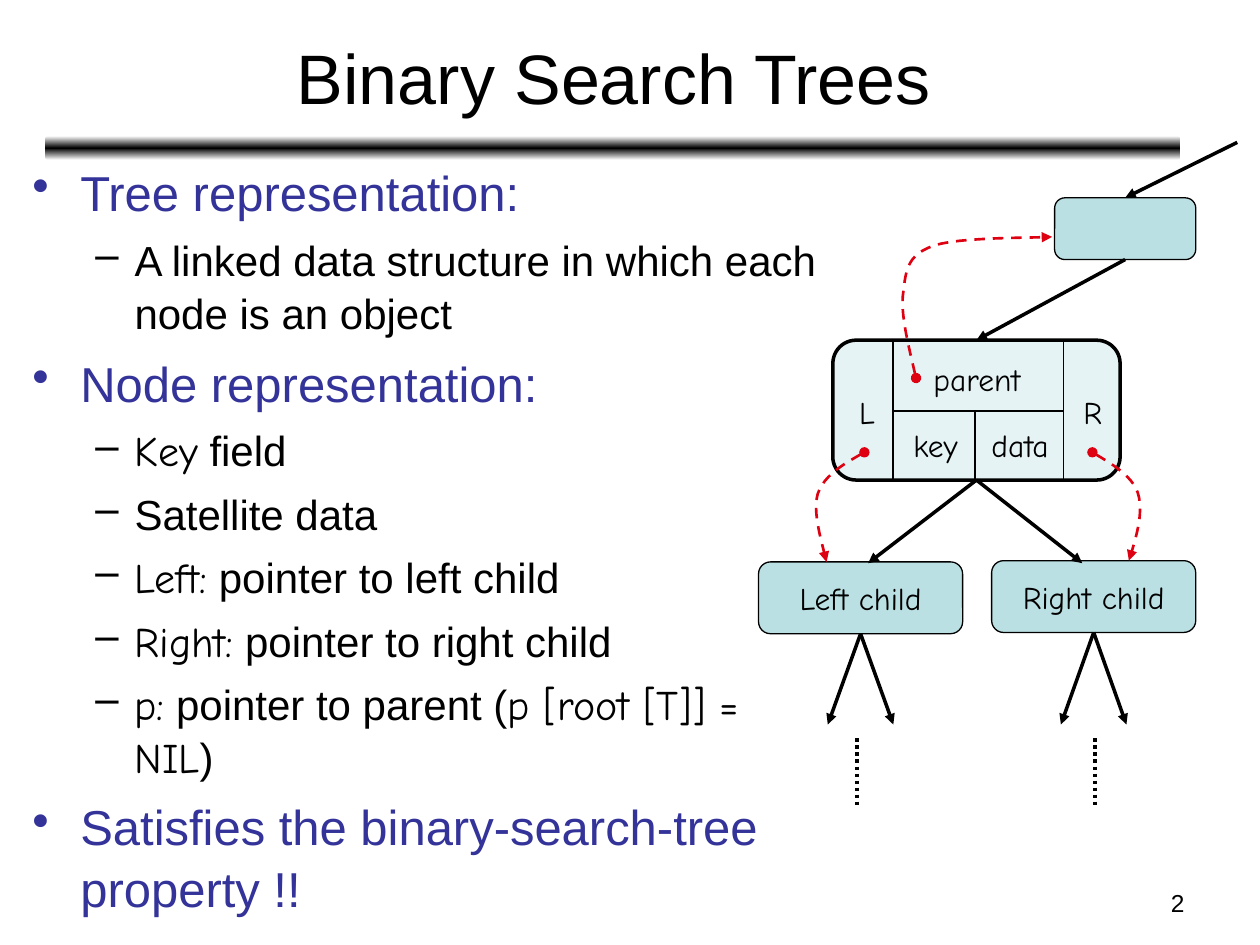
from dataclasses import dataclass

from lxml.etree import SubElement
from pptx import Presentation
from pptx.dml.color import RGBColor
from pptx.enum.dml import MSO_LINE
from pptx.enum.shapes import MSO_CONNECTOR, MSO_SHAPE
from pptx.enum.text import MSO_ANCHOR, PP_ALIGN
from pptx.oxml.ns import qn
from pptx.util import Inches, Pt


@dataclass(frozen=True)
class Theme:
    ink: str = "000000"
    paper: str = "FFFFFF"
    heading: str = "333399"
    node: str = "BBE0E3"
    record: str = "E5F3F5"
    pointer: str = "DD0111"
    sans: str = "Arial"
    hand: str = "Comic Neue"
    title_size: int = 40
    topic_size: int = 28
    detail_size: int = 24
    label_size: int = 18
    number_size: int = 14
    thin: float = 0.75
    divider: float = 1
    dashed: float = 1.5
    thick: float = 2


TOP, BOTTOM = 0, 2


class TreeSlide:
    def __init__(self, slide, theme):
        self.shapes = slide.shapes
        self.theme = theme

    def style_run(self, run, size, font, color):
        run.font.size = Pt(size)
        run.font.name = font
        run.font.color.rgb = RGBColor.from_string(color)

    def style_line(self, line, width, color, dash=None, head=None, tail=None):
        line.color.rgb = RGBColor.from_string(color)
        line.width = Pt(width)
        if dash is not None:
            line.dash_style = dash
        properties = line._get_or_add_ln()
        for tag, kind in (("a:headEnd", head), ("a:tailEnd", tail)):
            if kind:
                SubElement(properties, qn(tag), type=kind)

    def text(self, box, words, size, font, align=PP_ALIGN.LEFT,
             anchor=MSO_ANCHOR.TOP, wrap=False):
        area = self.shapes.add_textbox(*map(Inches, box))
        self.set_words(area.text_frame, words, size, font, align, anchor, wrap)

    def set_words(self, frame, words, size, font, align, anchor, wrap=False):
        frame.text = words
        frame.word_wrap = wrap
        frame.vertical_anchor = anchor
        paragraph = frame.paragraphs[0]
        paragraph.alignment = align
        self.style_run(paragraph.runs[0], size, font, self.theme.ink)

    def outline(self, box, topics):
        frame = self.shapes.add_textbox(*map(Inches, box)).text_frame
        frame.word_wrap = True
        paragraph = frame.paragraphs[0]
        for index, (topic, details) in enumerate(topics):
            if index:
                paragraph = frame.add_paragraph()
            self.bullet(paragraph, [topic], 0)
            for detail in details:
                self.bullet(frame.add_paragraph(), detail, 1)

    def bullet(self, paragraph, parts, level):
        theme = self.theme
        mark, margin, hanging, before, size, color = (
            ("•", 0.38, 0.38, 7, theme.topic_size, theme.heading),
            ("–", 0.81, 0.31, 6, theme.detail_size, theme.ink),
        )[level]
        paragraph.level = level
        paragraph.line_spacing = 1.05
        paragraph.space_before = Pt(before)
        properties = paragraph._p.get_or_add_pPr()
        properties.set("marL", str(Inches(margin)))
        properties.set("indent", str(-Inches(hanging)))
        SubElement(SubElement(properties, qn("a:buClr")), qn("a:srgbClr"), val=color)
        SubElement(properties, qn("a:buChar"), char=mark)
        for index, words in enumerate(parts):
            run = paragraph.add_run()
            run.text = words
            handwritten = len(parts) > 1 and index % 2 == 0
            self.style_run(run, size, theme.hand if handwritten else theme.sans, color)

    def rounded(self, box):
        shape = self.shapes.add_shape(MSO_SHAPE.ROUNDED_RECTANGLE, *map(Inches, box))
        shape.shadow.inherit = False
        return shape

    def rule(self, box):
        bar = self.rounded(box)
        bar.line.fill.background()
        bar.fill.gradient()
        bar.fill.gradient_angle = 90
        stops = bar._element.spPr.find(qn("a:gradFill")).find(qn("a:gsLst"))
        for stop in list(stops):
            stops.remove(stop)
        for position, color in ((0, self.theme.paper), (50, self.theme.ink),
                                (100, self.theme.paper)):
            stop = SubElement(stops, qn("a:gs"), pos=str(position * 1000))
            SubElement(stop, qn("a:srgbClr"), val=color)

    def node(self, box, fill, width, words=None):
        shape = self.rounded(box)
        shape.fill.solid()
        shape.fill.fore_color.rgb = RGBColor.from_string(fill)
        self.style_line(shape.line, width, self.theme.ink)
        if words:
            self.set_words(shape.text_frame, words, self.theme.label_size,
                           self.theme.hand, PP_ALIGN.CENTER, MSO_ANCHOR.MIDDLE)
        return shape

    def line(self, start, end, width, dash=None, tail=None, source=None, target=None):
        link = self.shapes.add_connector(MSO_CONNECTOR.STRAIGHT, *map(Inches, start + end))
        if source is not None:
            link.begin_connect(source, BOTTOM)
        if target is not None:
            link.end_connect(target, TOP)
        self.style_line(link.line, width, self.theme.ink, dash, tail=tail)
        SubElement(link._element.spPr, qn("a:effectLst"))

    def arrow(self, start, end, source=None, target=None):
        self.line(start, end, self.theme.thick, tail="triangle",
                  source=source, target=target)

    def pointer(self, start, *curves, steps=12):
        points, origin = [], start
        for first, second, end in curves:
            for step in range(1, steps + 1):
                t = step / steps
                weights = ((1 - t) ** 3, 3 * t * (1 - t) ** 2, 3 * t * t * (1 - t), t ** 3)
                points.append(tuple(
                    Inches(sum(w * p[axis] for w, p in
                               zip(weights, (origin, first, second, end))))
                    for axis in (0, 1)))
            origin = end
        builder = self.shapes.build_freeform(*map(Inches, start))
        builder.add_line_segments(points, close=False)
        curve = builder.convert_to_shape()
        curve.shadow.inherit = False
        curve.fill.background()
        self.style_line(curve.line, self.theme.dashed, self.theme.pointer,
                        MSO_LINE.DASH, "oval", "triangle")


def main():
    theme = Theme()
    deck = Presentation()
    deck.slide_width, deck.slide_height = Inches(10), Inches(7.5)
    page = TreeSlide(deck.slides.add_slide(deck.slide_layouts[6]), theme)

    page.rule((0.36, 1.08, 9.01, 0.19))
    page.text((7.17, 7, 2.33, 0.35), "2", theme.number_size, theme.sans,
              PP_ALIGN.RIGHT, wrap=True)
    page.text((0.37, 0.11, 9, 0.99), "Binary Search Trees", theme.title_size,
              theme.sans, PP_ALIGN.CENTER, MSO_ANCHOR.MIDDLE, wrap=True)
    page.outline((0.16, 1.22, 6.43, 5.93), (
        ("Tree representation:",
         [["A linked data structure in which each node is an object"]]),
        ("Node representation:", [
            ["Key", " field"],
            ["Satellite data"],
            ["Left:", " pointer to left child"],
            ["Right:", " pointer to right child"],
            ["p:", " pointer to parent (", "p [root [T]] = NIL", ")"],
        ]),
        ("Satisfies the binary-search-tree property !!", []),
    ))

    parent = page.node((8.37, 1.57, 1.12, 0.49), theme.node, theme.thin)
    record = page.node((6.61, 2.7, 2.28, 1.11), theme.record, theme.thick)
    left = page.node((6.02, 4.46, 1.62, 0.57), theme.node, theme.thin, "Left child")
    right = page.node((7.87, 4.45, 1.62, 0.57), theme.node, theme.thin, "Right child")

    for start, end in (((7.09, 2.7), (7.09, 3.81)), ((8.44, 2.7), (8.44, 3.81)),
                       ((7.09, 3.26), (8.44, 3.26)), ((7.74, 3.26), (7.74, 3.81))):
        page.line(start, end, theme.divider)
    for field, x, y, width in (("L", 6.72, 3.07, 0.32), ("R", 8.5, 3.07, 0.35),
                               ("parent", 7.31, 2.81, 0.89),
                               ("key", 7.15, 3.33, 0.56), ("data", 7.77, 3.33, 0.66)):
        page.text((x, y, width, 0.4), field, theme.label_size, theme.hand)

    page.arrow((9.82, 1.13), (8.93, 1.57), target=parent)
    page.arrow((8.93, 2.06), (7.75, 2.7), source=parent, target=record)
    for child_x in (6.89, 8.59):
        page.arrow((7.75, 3.81), (child_x, 4.47), source=record)

    page.pointer((6.86, 3.59), ((6.7, 3.68), (6.54, 3.77), (6.49, 3.92)),
                 ((6.45, 4.06), (6.51, 4.26), (6.56, 4.46)))
    page.pointer((8.67, 3.59), ((8.82, 3.68), (8.98, 3.77), (9.03, 3.91)),
                 ((9.08, 4.06), (9.02, 4.26), (8.96, 4.45)))
    page.pointer((7.27, 3), ((7.21, 2.74), (7.14, 2.48), (7.17, 2.31)),
                 ((7.19, 2.13), (7.21, 2.02), (7.41, 1.95)),
                 ((7.61, 1.88), (8.2, 1.89), (8.35, 1.88)))

    for child, middle, dots in ((left, 6.83, 6.8), (right, 8.68, 8.69)):
        for offset in (-0.26, 0.26):
            page.arrow((middle, 5.03), (middle + offset, 5.75), source=child)
        page.line((dots, 5.86), (dots, 6.4), theme.thick, MSO_LINE.ROUND_DOT)

    deck.save("out.pptx")


if __name__ == "__main__":
    main()
